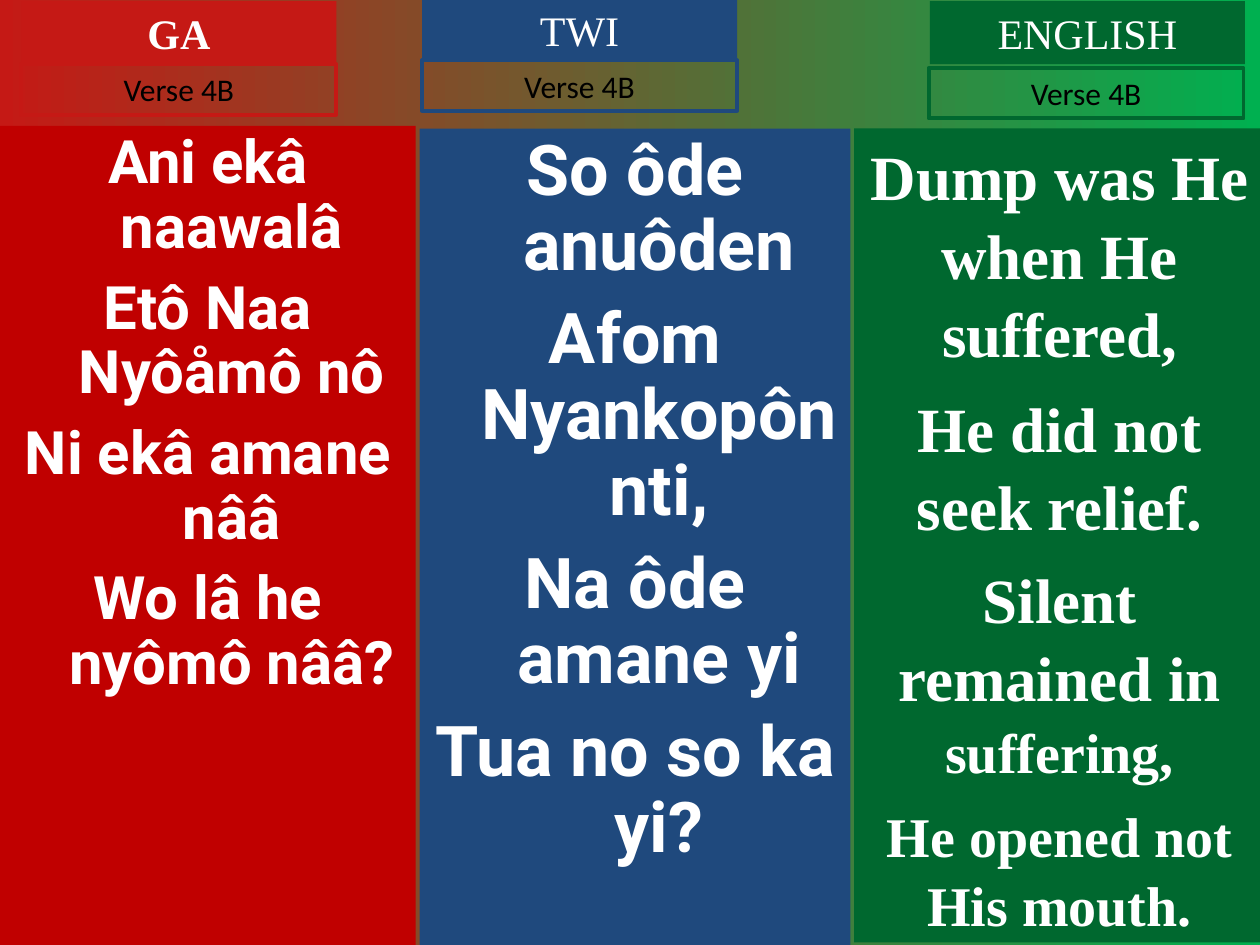
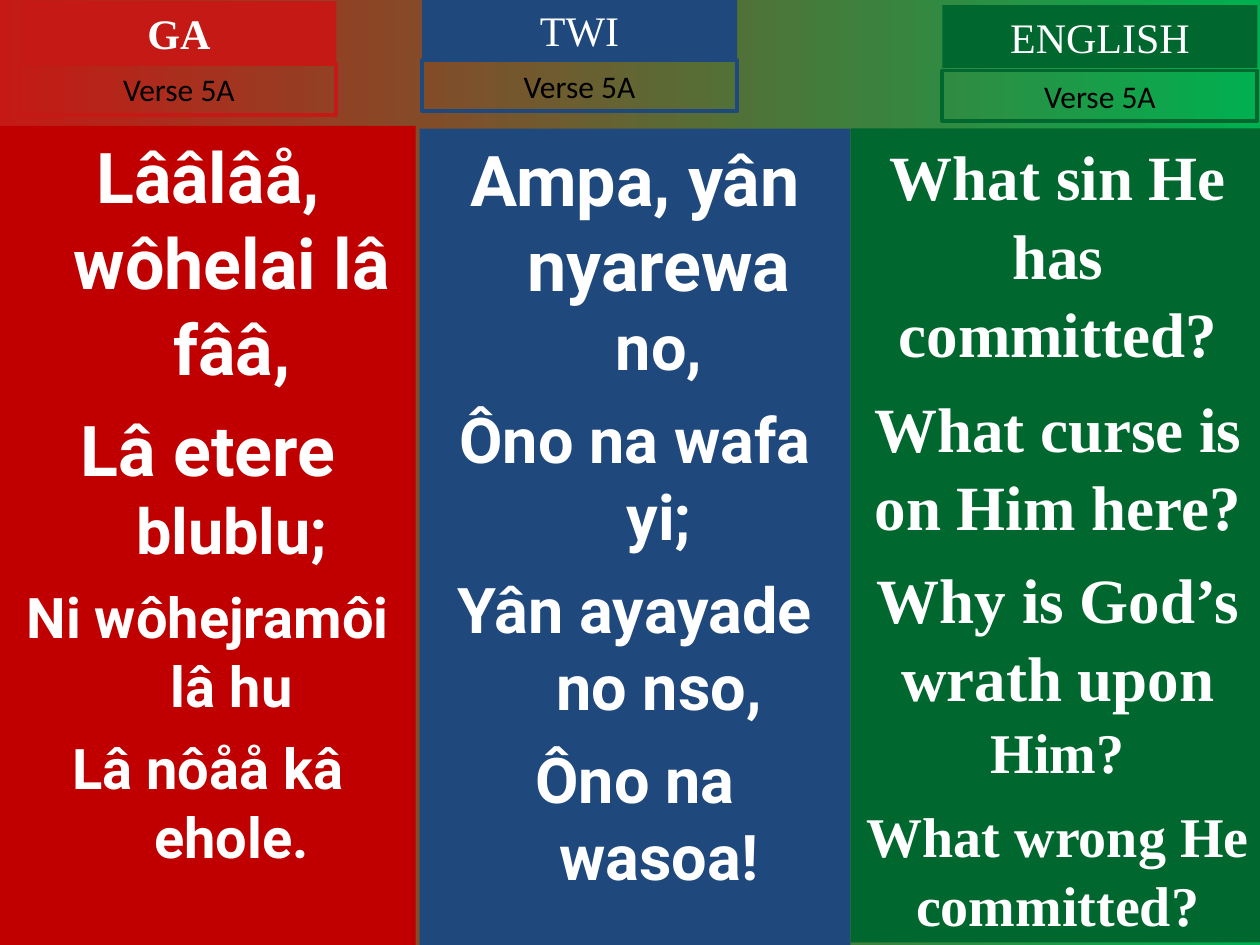
from dataclasses import dataclass

from pptx import Presentation
from pptx.dml.color import RGBColor
from pptx.enum.shapes import MSO_SHAPE
from pptx.enum.text import MSO_ANCHOR, MSO_AUTO_SIZE, PP_ALIGN
from pptx.util import Inches, Pt

RECT = MSO_SHAPE.RECTANGLE
TOP = MSO_ANCHOR.TOP
GROW = MSO_AUTO_SIZE.SHAPE_TO_FIT_TEXT
FIXED = MSO_AUTO_SIZE.NONE
CENTER = PP_ALIGN.CENTER


@dataclass(frozen=True)
class Theme:
    red: str = "C51915"
    deep: str = "C00000"
    blue: str = "1F497D"
    green: str = "00682F"
    lime: str = "00B050"
    white: str = "FFFFFF"
    black: str = "000000"
    serif: str = "Times New Roman"
    sans: str = "Roboto"
    plain: str = "Calibri"
    name: float = 24
    verse: float = 18
    huge: float = 40
    large: float = 36
    mid: float = 34.2
    small: float = 32
    border: float = 2.25


THEME = Theme()


@dataclass(frozen=True)
class Box:
    left: float
    top: float
    width: float
    height: float


@dataclass(frozen=True)
class Run:
    text: str
    size: float


@dataclass(frozen=True)
class Line:
    runs: tuple[Run, ...]
    before: float = 0


@dataclass(frozen=True)
class Style:
    font: str
    color: str = THEME.white
    bold: bool = False
    hang: float = 0
    pitch: float = 1


@dataclass(frozen=True)
class Panel:
    box: Box
    fill: str
    style: Style
    lines: tuple[Line, ...]


@dataclass(frozen=True)
class Label:
    name: str
    left: float
    top: float
    edge: float
    verse: float
    color: str
    bold: bool = False


@dataclass(frozen=True)
class Page:
    verse: str
    panels: tuple[Panel, ...]
    labels: tuple[Label, ...]


def lyric(before: float, *parts: tuple[str, float]) -> Line:
    return Line(tuple(Run(*part) for part in parts), before)


def even(size: float, before: float, *texts: str) -> tuple[Line, ...]:
    """Lines of one size and gap."""
    return tuple(lyric(before, (text, size)) for text in texts)


# Shared columns, text styles and language labels
GA_BOX = Box(0, 1, 3.3, 6.5)
TWI_BOX = Box(3.33, 1.02, 3.42, 6.48)
TIGHT = Style(THEME.sans, bold=True, hang=0.38, pitch=0.9)
LOOSE = Style(THEME.sans, bold=True, hang=0.38, pitch=1.02)
ENGLISH = Style(THEME.serif, bold=True, pitch=1.04)
VERSE = Style(THEME.plain, THEME.black)
GA = Label("GA", 0.17, 0.01, 0.17, 0.51, THEME.red, True)
TWI = Label("TWI", 3.35, -0.01, 3.35, 0.48, THEME.blue)


def english(left: float, width: float, lines: tuple[Line, ...]) -> Panel:
    return Panel(Box(left, 1.02, width, 6.46), THEME.green, ENGLISH, lines)


PAGES = (
    Page(
        "Verse 4B",
        (
            Panel(GA_BOX, THEME.deep, TIGHT, even(
                THEME.mid, 9.2, "Ani ekâ naawalâ", "Etô Naa Nyôåmô nô",
                "Ni ekâ amane nââ", "Wo lâ he nyômô nââ?")),
            Panel(TWI_BOX, THEME.blue, TIGHT, even(
                THEME.huge, 10, "So ôde anuôden", "Afom Nyankopôn nti,",
                "Na ôde amane yi", "Tua no so ka yi?")),
            english(6.78, 3.26, (
                *even(THEME.large, 9, "Dump was He when He suffered,",
                      "He did not seek relief."),
                lyric(8, ("Silent remained in ", THEME.large),
                      ("suffering,", THEME.small)),
                lyric(8, ("He opened not His mouth.", THEME.small)),
            )),
        ),
        (GA, TWI, Label("ENGLISH", 7.38, 0.01, 7.37, 0.54, THEME.green)),
    ),
    Page(
        "Verse 5A",
        (
            Panel(GA_BOX, THEME.deep, LOOSE, (
                lyric(10, ("Lââlâå, wôhelai lâ fââ,", THEME.huge)),
                lyric(9, ("Lâ etere ", THEME.huge), ("blublu;", THEME.large)),
                *even(THEME.small, 8, "Ni wôhejramôi lâ hu",
                      "Lâ nôåå kâ ehole."),
            )),
            Panel(TWI_BOX, THEME.blue, LOOSE, (
                lyric(9, ("Ampa, yân nyarewa ", THEME.huge),
                      ("no,", THEME.large)),
                *even(THEME.large, 9, "Ôno na wafa yi;",
                      "Yân ayayade no nso,", "Ôno na wasoa!"),
            )),
            english(6.75, 3.29, (
                *even(THEME.large, 9, "What sin He has committed?",
                      "What curse is on Him here?"),
                lyric(8, ("Why is God’s wrath upon ", THEME.large),
                      ("Him?", THEME.small)),
                lyric(8, ("What wrong He committed?", THEME.small)),
            )),
        ),
        (GA, TWI, Label("ENGLISH", 7.48, 0.04, 7.48, 0.56, THEME.green)),
    ),
)


def rgb(value: str) -> RGBColor:
    return RGBColor.from_string(value)


def block(slide, box: Box, fill: str | None = None, edge: str | None = None):
    shape = slide.shapes.add_shape(
        RECT, Inches(box.left), Inches(box.top),
        Inches(box.width), Inches(box.height))
    shape.shadow.inherit = False
    if fill:
        shape.fill.solid()
        shape.fill.fore_color.rgb = rgb(fill)
    else:
        shape.fill.background()
    if edge:
        shape.line.color.rgb = rgb(edge)
        shape.line.width = Pt(THEME.border)
    else:
        shape.line.fill.background()
    return shape


def write(shape, lines: tuple[Line, ...], style: Style, grow: bool) -> None:
    frame = shape.text_frame
    frame.word_wrap = True
    frame.vertical_anchor = TOP
    frame.auto_size = GROW if grow else FIXED
    for index, line in enumerate(lines):
        para = frame.add_paragraph() if index else frame.paragraphs[0]
        para.alignment = CENTER
        para.line_spacing = style.pitch
        para.space_before = Pt(line.before if index else 0)
        if style.hang:
            props = para._p.get_or_add_pPr()
            props.set("marL", str(Inches(style.hang)))
            props.set("indent", str(-Inches(style.hang)))
        for item in line.runs:
            run = para.add_run()
            run.text = item.text
            run.font.name = style.font
            run.font.size = Pt(item.size)
            run.font.bold = style.bold
            run.font.color.rgb = rgb(style.color)


def draw_panel(slide, panel: Panel) -> None:
    shape = block(slide, panel.box, fill=panel.fill)
    write(shape, panel.lines, panel.style, False)


def draw_label(slide, label: Label, verse: str) -> None:
    head = block(slide, Box(label.left, label.top, 2.5, 0.5), fill=label.color)
    write(head, even(THEME.name, 0, label.name),
          Style(THEME.serif, bold=label.bold), True)
    tag = block(slide, Box(label.edge, label.verse, 2.5, 0.4),
                edge=label.color)
    write(tag, even(THEME.verse, 0, verse), VERSE, True)


def paint(slide) -> None:
    """Red to green background, left to right."""
    fill = slide.background.fill
    fill.gradient()
    fill.gradient_angle = 0
    for stop, color, place in zip(
            fill.gradient_stops, (THEME.red, THEME.lime), (0, 1)):
        stop.color.rgb = rgb(color)
        stop.position = place


def main() -> None:
    deck = Presentation()
    deck.slide_width, deck.slide_height = Inches(10), Inches(7.5)
    for page in PAGES:
        slide = deck.slides.add_slide(deck.slide_layouts[6])
        paint(slide)
        for panel in page.panels:
            draw_panel(slide, panel)
        for label in page.labels:
            draw_label(slide, label, page.verse)
    deck.save("out.pptx")


if __name__ == "__main__":
    main()
